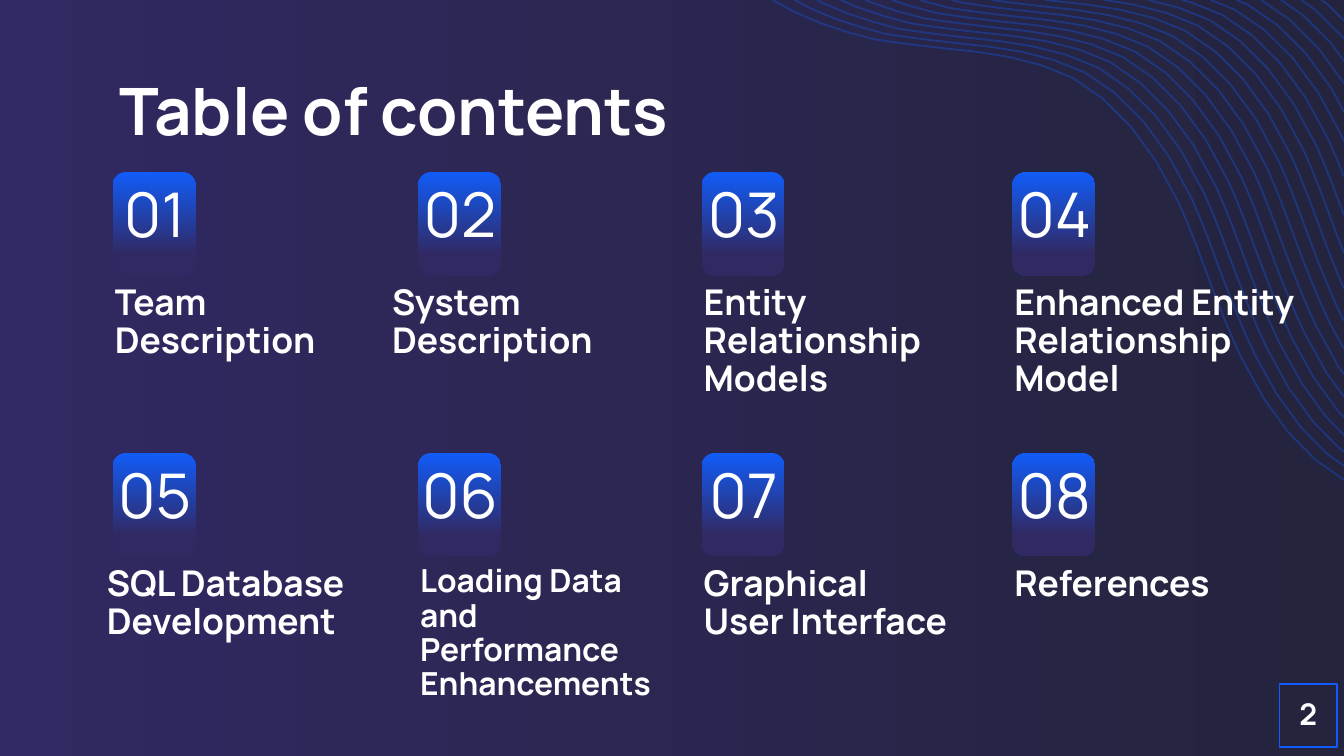
"""Build a table of contents slide with eight numbered sections."""
from itertools import pairwise
from lxml import etree
from pptx import Presentation
from pptx.dml.color import RGBColor
from pptx.enum.shapes import MSO_SHAPE
from pptx.enum.text import MSO_ANCHOR, MSO_AUTO_SIZE, PP_ALIGN
from pptx.oxml.ns import qn
from pptx.util import Cm, Pt

TOP, MIDDLE = MSO_ANCHOR.TOP, MSO_ANCHOR.MIDDLE
LEFT, CENTER = PP_ALIGN.LEFT, PP_ALIGN.CENTER
RECTANGLE, ROUNDED = MSO_SHAPE.RECTANGLE, MSO_SHAPE.ROUNDED_RECTANGLE

BLUE = RGBColor(0x11, 0x5C, 0xF9)
PURPLE = RGBColor(0x31, 0x29, 0x62)
NIGHT = RGBColor(0x24, 0x24, 0x3E)
WHITE = RGBColor(0xFF, 0xFF, 0xFF)
FONT = "Manrope"

TITLE = "Table of contents"
PAGE_NUMBER = "2"
SECTIONS = [
    {"label": "Team Description", "width": 5.23},
    {"label": "System Description", "width": 6.12, "shift": -0.53},
    {"label": "Entity Relationship Models", "width": 6.48},
    {"label": "Enhanced Entity Relationship Model", "width": 6.48},
    {"label": "SQL Database Development", "width": 5.38, "shift": -0.15},
    {"label": "Loading Data and Performance Enhancements", "width": 5.23, "size": 17},
    {"label": "Graphical User Interface", "width": 5.23},
    {"label": "References", "width": 5.23},
]

SLIDE_WIDTH, SLIDE_HEIGHT = 25.4, 14.29
COLUMNS = [2.13, 7.9, 13.26, 19.13]
ROWS = [3.25, 8.56]
LABEL_HEIGHTS = [2.69, 2.13]
CARD_WIDTH, CARD_HEIGHT = 1.57, 1.96
NUMBER_WIDTH, NUMBER_HEIGHT = 2.01, 2.13
NUMBER_INSET = 0.21
LABEL_DROP = 1.88

WAVE_START = (14.6, 0)
WAVE_CURVES = [
    ((15.19, 0.36), (15.85, 0.58), (16.51, 0.74)),
    ((16.94, 0.81), (17.37, 0.86), (17.81, 0.91)),
    ((18.64, 0.99), (19.51, 1.09), (20.27, 1.47)),
    ((21.06, 1.91), (21.74, 2.69), (22.28, 3.84)),
    ((22.5, 4.32), (22.68, 4.83), (22.86, 5.31)),
    ((23.04, 5.79), (23.24, 6.3), (23.47, 6.78)),
    ((24, 7.87), (24.64, 8.64), (25.4, 9.07)),
]
WAVE_COUNT = 19
WAVE_SPREAD = (4.25, -1.78)
WAVE_OPACITY = 32
SAMPLES = 4


def set_gradient(fill, start, end, angle, end_position=1.0):
    fill.gradient()
    fill.gradient_angle = angle
    for stop, color, position in zip(fill.gradient_stops, (start, end), (0, end_position)):
        stop.color.rgb = color
        stop.position = position


def write(shape, text, size, bold=True, align=LEFT, anchor=TOP):
    frame = shape.text_frame
    frame.word_wrap = True
    frame.auto_size = MSO_AUTO_SIZE.NONE
    frame.vertical_anchor = anchor
    frame.margin_left = frame.margin_right = Cm(0.25)
    frame.margin_top = frame.margin_bottom = Cm(0.25)
    paragraph = frame.paragraphs[0]
    paragraph.alignment = align
    paragraph.line_spacing = 0.9
    run = paragraph.add_run()
    run.text = text
    run.font.name = FONT
    run.font.size = Pt(size)
    run.font.bold = bold
    run.font.color.rgb = WHITE


def wave_points():
    points = [WAVE_START]
    for a, b, end in WAVE_CURVES:
        start = points[-1]
        for i in range(1, SAMPLES + 1):
            t = i / SAMPLES
            u = 1 - t
            points.append(tuple(
                u**3 * p + 3 * u * u * t * q + 3 * u * t * t * r + t**3 * s
                for p, q, r, s in zip(start, a, b, end)))
    return points


def visible_part(points):
    visible = []
    for (x1, y1), (x2, y2) in pairwise(points):
        if y2 <= 0 or x1 >= SLIDE_WIDTH:
            continue
        enter = max(0, -y1 / (y2 - y1))
        leave = min(1, (SLIDE_WIDTH - x1) / (x2 - x1))
        ends = [leave] if visible else [enter, leave]
        visible += [(Cm(x1 + t * (x2 - x1)), Cm(y1 + t * (y2 - y1))) for t in ends]
    return visible


def add_waves(shapes):
    points = wave_points()
    for i in range(WAVE_COUNT):
        dx, dy = (i * spread / (WAVE_COUNT - 1) for spread in WAVE_SPREAD)
        outline = visible_part([(x + dx, y + dy) for x, y in points])
        builder = shapes.build_freeform(*outline[0])
        builder.add_line_segments(outline[1:], close=False)
        wave = builder.convert_to_shape()
        wave.shadow.inherit = False
        wave.fill.background()
        wave.line.width = Pt(1)
        wave.line.color.rgb = BLUE
        color = next(wave.element.spPr.iter(qn("a:srgbClr")))
        etree.SubElement(color, qn("a:alpha")).set("val", str(WAVE_OPACITY * 1000))


def add_section(shapes, index, section):
    row, column = divmod(index, len(COLUMNS))
    left, top = COLUMNS[column], ROWS[row]
    card = shapes.add_shape(ROUNDED, Cm(left), Cm(top), Cm(CARD_WIDTH), Cm(CARD_HEIGHT))
    card.shadow.inherit = False
    card.line.fill.background()
    set_gradient(card.fill, BLUE, PURPLE, 270, end_position=0.8)

    text_left = left - NUMBER_INSET
    number = shapes.add_textbox(Cm(text_left), Cm(top - NUMBER_INSET),
                                Cm(NUMBER_WIDTH), Cm(NUMBER_HEIGHT))
    write(number, f"{index + 1:02}", 33, bold=False, align=CENTER, anchor=MIDDLE)

    label = shapes.add_textbox(Cm(text_left + section.get("shift", 0)), Cm(top + LABEL_DROP),
                               Cm(section["width"]), Cm(LABEL_HEIGHTS[row]))
    write(label, section["label"], section.get("size", 19))


def main():
    deck = Presentation()
    deck.slide_width, deck.slide_height = Cm(SLIDE_WIDTH), Cm(SLIDE_HEIGHT)
    slide = deck.slides.add_slide(deck.slide_layouts[5])
    shapes = slide.shapes
    set_gradient(slide.background.fill, NIGHT, PURPLE, 180)
    add_waves(shapes)

    title = shapes.title
    title.left, title.top, title.width, title.height = Cm(2), Cm(1.25), Cm(21.4), Cm(1.6)
    write(title, TITLE, 35)

    for index, section in enumerate(SECTIONS):
        add_section(shapes, index, section)

    page = shapes.add_shape(RECTANGLE, Cm(24.18), Cm(12.93), Cm(1.09), Cm(1.19))
    page.shadow.inherit = False
    page.fill.background()
    page.line.color.rgb = BLUE
    page.line.width = Pt(0.75)
    write(page, PAGE_NUMBER, 16, align=CENTER, anchor=MIDDLE)
    deck.save("out.pptx")


if __name__ == "__main__":
    main()
